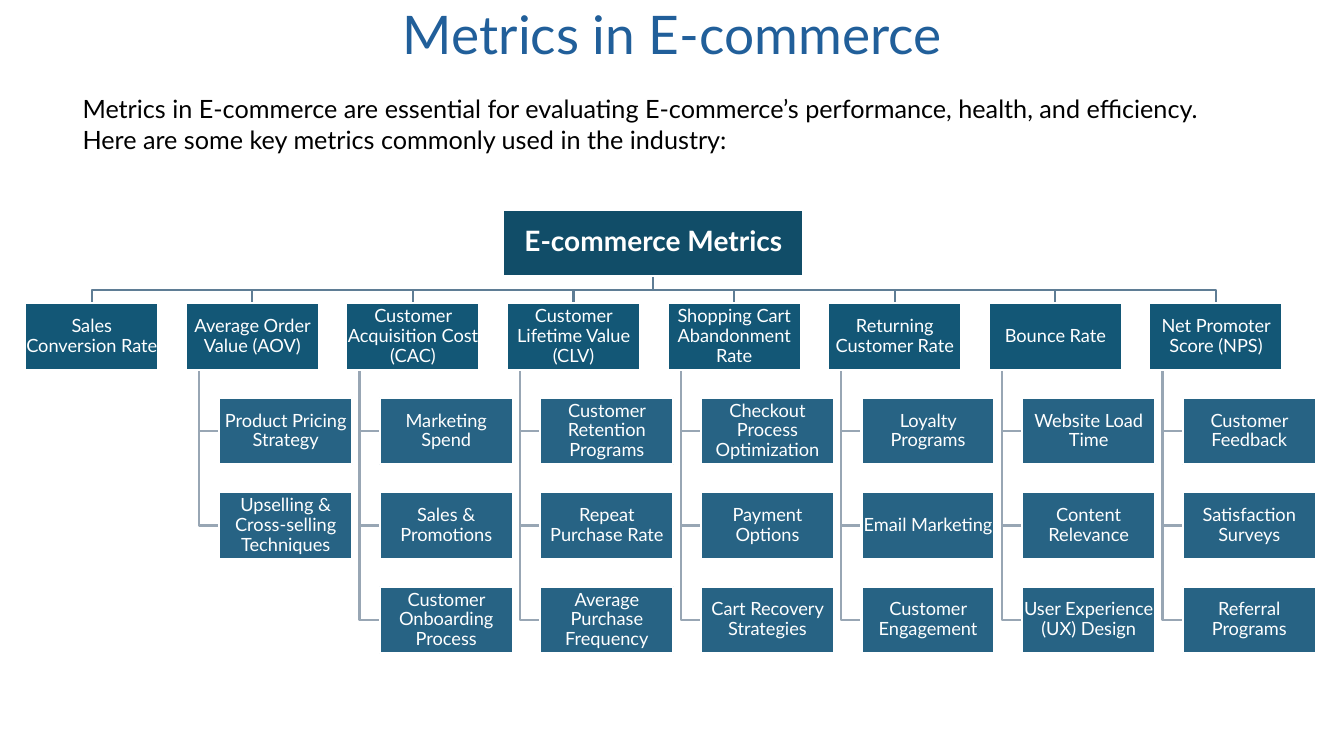
from dataclasses import dataclass

from pptx import Presentation
from pptx.dml.color import RGBColor as Color
from pptx.enum.shapes import MSO_SHAPE as Shape
from pptx.enum.text import MSO_ANCHOR as Anchor, PP_ALIGN as Align
from pptx.util import Inches, Pt


@dataclass(frozen=True)
class Theme:
    font: str = "Lato"
    title: str = "215F9A"
    body: str = "000000"
    white: str = "FFFFFF"
    root_fill: str = "114D68"
    metric_fill: str = "135776"
    detail_fill: str = "276384"
    root_line: str = "5F7D95"
    detail_line: str = "98A6B4"
    title_size: int = 38
    body_size: int = 18
    root_size: int = 20
    label_size: int = 13
    line_width: float = 1.5


class ChartSlide:
    """Draws the elements of one slide in one theme."""

    def __init__(self, slide, theme):
        self.shapes = slide.shapes
        self.theme = theme

    def set_text(self, shape, text, size, color, align, anchor, spacing=None, bold=False):
        frame = shape.text_frame
        frame.word_wrap = True
        frame.vertical_anchor = anchor
        frame.text = text
        for para in frame.paragraphs:
            para.alignment = align
            if spacing:
                para.line_spacing = spacing
            for span in para.runs:
                span.font.name = self.theme.font
                span.font.size = Pt(size)
                span.font.bold = bold
                span.font.color.rgb = Color.from_string(color)

    def text(self, left, top, width, height, text, size, color, align, anchor, spacing=None):
        box = self.shapes.add_textbox(
            Inches(left), Inches(top), Inches(width), Inches(height))
        self.set_text(box, text, size, color, align, anchor, spacing)

    def node(self, left, top, width, height, text, fill, size, bold=False):
        box = self.shapes.add_shape(
            Shape.RECTANGLE, Inches(left), Inches(top), Inches(width), Inches(height))
        box.shadow.inherit = False
        box.fill.solid()
        box.fill.fore_color.rgb = Color.from_string(fill)
        self.outline(box, self.theme.white)
        frame = box.text_frame
        frame.margin_left = frame.margin_right = Inches(0.01)
        frame.margin_top = frame.margin_bottom = Inches(0.01)
        self.set_text(box, text, size, self.theme.white, Align.CENTER, Anchor.MIDDLE, 0.9, bold)

    def branch(self, points, color):
        start, *rest = [(Inches(x), Inches(y)) for x, y in points]
        builder = self.shapes.build_freeform(*start)
        builder.add_line_segments(rest, close=False)
        line = builder.convert_to_shape()
        line.shadow.inherit = False
        line.fill.background()
        self.outline(line, color)

    def outline(self, shape, color):
        shape.line.color.rgb = Color.from_string(color)
        shape.line.width = Pt(self.theme.line_width)


INTRO = (
    "Metrics in E-commerce are essential for evaluating E-commerce’s performance, "
    "health, and efficiency.\n"
    "Here are some key metrics commonly used in the industry:"
)

METRICS = [
    ("Sales Conversion Rate", []),
    ("Average Order Value (AOV)",
     ["Product Pricing Strategy", "Upselling & Cross-selling Techniques"]),
    ("Customer Acquisition Cost (CAC)",
     ["Marketing Spend", "Sales & Promotions", "Customer Onboarding Process"]),
    ("Customer Lifetime Value (CLV)",
     ["Customer Retention Programs", "Repeat Purchase Rate", "Average Purchase Frequency"]),
    ("Shopping Cart Abandonment Rate",
     ["Checkout Process Optimization", "Payment Options", "Cart Recovery Strategies"]),
    ("Returning Customer Rate",
     ["Loyalty Programs", "Email Marketing", "Customer Engagement"]),
    ("Bounce Rate",
     ["Website Load Time", "Content Relevance", "User Experience (UX) Design"]),
    ("Net Promoter Score (NPS)",
     ["Customer Feedback", "Satisfaction Surveys", "Referral Programs"]),
]

# Tree grid, in inches
NODE_WIDTH, NODE_HEIGHT = 1.32, 0.66
FIRST_LEFT, LAST_LEFT = 0.25, 11.4
METRIC_TOP, LAST_TOP = 3.01, 5.82
COLUMN_STEP = (LAST_LEFT - FIRST_LEFT) / (len(METRICS) - 1)
ROW_STEP = (LAST_TOP - METRIC_TOP) / 3
ROOT_LEFT, ROOT_TOP, ROOT_WIDTH = 4.99, 2.08, 2.98
TRUNK_INSET, DETAIL_INDENT = 0.13, 0.33


def draw_branches(page, theme):
    root_center = ROOT_LEFT + ROOT_WIDTH / 2
    root_bottom = ROOT_TOP + NODE_HEIGHT
    bus = (root_bottom + METRIC_TOP) / 2
    for column, (_, details) in enumerate(METRICS):
        left = FIRST_LEFT + column * COLUMN_STEP
        center = left + NODE_WIDTH / 2
        page.branch([(root_center, root_bottom), (root_center, bus),
                     (center, bus), (center, METRIC_TOP)], theme.root_line)
        trunk = left + TRUNK_INSET
        for row in range(1, len(details) + 1):
            middle = METRIC_TOP + row * ROW_STEP + NODE_HEIGHT / 2
            page.branch([(trunk, METRIC_TOP + NODE_HEIGHT), (trunk, middle),
                         (left + DETAIL_INDENT, middle)], theme.detail_line)


def draw_nodes(page, theme):
    page.node(ROOT_LEFT, ROOT_TOP, ROOT_WIDTH, NODE_HEIGHT, "E-commerce Metrics",
              theme.root_fill, theme.root_size, bold=True)
    for column, (metric, details) in enumerate(METRICS):
        left = FIRST_LEFT + column * COLUMN_STEP
        page.node(left, METRIC_TOP, NODE_WIDTH, NODE_HEIGHT, metric,
                  theme.metric_fill, theme.label_size)
        for row, detail in enumerate(details, 1):
            page.node(left + DETAIL_INDENT, METRIC_TOP + row * ROW_STEP,
                      NODE_WIDTH, NODE_HEIGHT, detail,
                      theme.detail_fill, theme.label_size)


def main():
    deck = Presentation()
    deck.slide_width, deck.slide_height = Inches(13.33), Inches(7.5)
    theme = Theme()
    page = ChartSlide(deck.slides.add_slide(deck.slide_layouts[6]), theme)

    # Title and introduction
    page.text(0.72, 0.08, 11.9, 0.58, "Metrics in E-commerce", theme.title_size,
              theme.title, Align.CENTER, Anchor.MIDDLE, 0.9)
    page.text(0.72, 0.88, 11.78, 0.71, INTRO, theme.body_size,
              theme.body, Align.JUSTIFY, Anchor.TOP)

    # Metrics tree, with the branches behind the nodes
    draw_branches(page, theme)
    draw_nodes(page, theme)

    deck.save("out.pptx")


if __name__ == "__main__":
    main()
